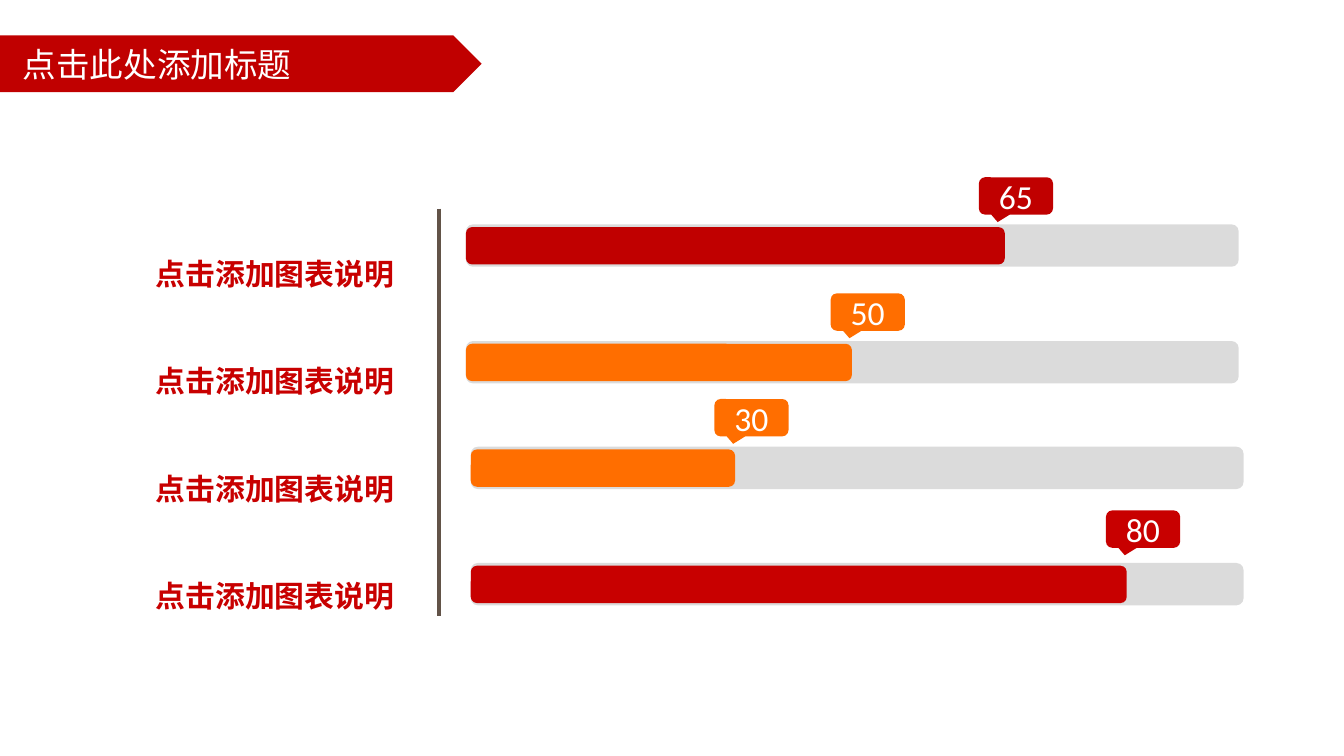
from lxml import etree
from pptx import Presentation
from pptx.enum import shapes, text
from pptx.dml.color import RGBColor
from pptx.oxml import ns
from pptx.util import Pt

COLORS = {
    "banner": "C00000",
    "red": "C80000",
    "orange": "FF6E00",
    "track": "000000",
    "axis": "625348",
    "white": "FFFFFF",
}
CHINESE = "Noto Sans CJK SC"
LATIN = "Calibri"


class SlideBuilder:
    def __init__(self, slide):
        self.slide = slide

    def color(self, name):
        return RGBColor.from_string(COLORS[name])

    def style(self, paragraph, size, font, color, align, bold=False):
        paragraph.alignment = align
        paragraph.font.size = Pt(size)
        paragraph.font.bold = bold
        paragraph.font.color.rgb = self.color(color)
        paragraph.font.name = font
        properties = paragraph._p.pPr.find(ns.qn("a:defRPr"))
        etree.SubElement(properties, ns.qn("a:ea"), typeface=font)

    def shape(self, kind, left, top, width, height, fill, opacity=None):
        shape = self.slide.shapes.add_shape(
            kind, Pt(left), Pt(top), Pt(width), Pt(height))
        shape.shadow.inherit = False
        shape.line.fill.background()
        shape.fill.solid()
        shape.fill.fore_color.rgb = self.color(fill)
        if opacity is not None:
            color = shape._element.spPr.find(".//" + ns.qn("a:srgbClr"))
            etree.SubElement(color, ns.qn("a:alpha"), val=str(opacity * 1000))
        return shape

    def title(self, words, left, top, width, height):
        title = self.slide.shapes.title
        title.left, title.top = Pt(left), Pt(top)
        title.width, title.height = Pt(width), Pt(height)
        # Keep the title in front of the banner
        self.slide.shapes._spTree.append(title._element)
        frame = title.text_frame
        frame.text = words
        frame.vertical_anchor = text.MSO_ANCHOR.MIDDLE
        self.style(frame.paragraphs[0], 18, CHINESE, "white", text.PP_ALIGN.LEFT)

    def bar(self, left, top, width, fill):
        rounded = shapes.MSO_SHAPE.FLOWCHART_ALTERNATE_PROCESS
        self.shape(rounded, left, top, 414, 22.7, "track", opacity=14)
        self.shape(rounded, left, top + 1.5, width, 20, fill)

    def callout(self, value, left, top, fill):
        shape = self.shape(shapes.MSO_SHAPE.ROUNDED_RECTANGULAR_CALLOUT,
                           left, top, 39.7, 20, fill)
        for index, adjustment in enumerate((-0.246, 0.7, 0.167)):
            shape.adjustments[index] = adjustment
        frame = shape.text_frame
        frame.margin_left = frame.margin_right = 0
        frame.margin_top = frame.margin_bottom = 0
        frame.vertical_anchor = text.MSO_ANCHOR.MIDDLE
        frame.text = str(value)
        self.style(frame.paragraphs[0], 18, LATIN, "white", text.PP_ALIGN.CENTER)

    def line(self, x, top, bottom):
        line = self.slide.shapes.add_connector(
            shapes.MSO_CONNECTOR.STRAIGHT, Pt(x), Pt(top), Pt(x), Pt(bottom))
        line.line.color.rgb = self.color("axis")
        line.line.width = Pt(2.25)
        etree.SubElement(line._element.spPr, ns.qn("a:effectLst"))

    def labels(self, lines, left, top, width, height):
        box = self.slide.shapes.add_textbox(
            Pt(left), Pt(top), Pt(width), Pt(height))
        frame = box.text_frame
        frame.word_wrap = True
        frame.text = "\n".join(lines)
        for paragraph in frame.paragraphs:
            paragraph.line_spacing = 3.0
            self.style(paragraph, 16, CHINESE, "red", text.PP_ALIGN.CENTER, True)


def main():
    presentation = Presentation()
    presentation.slide_width, presentation.slide_height = Pt(720), Pt(405)
    layout = presentation.slide_layouts.get_by_name("Title Only")
    builder = SlideBuilder(presentation.slides.add_slide(layout))

    # Title banner
    builder.shape(shapes.MSO_SHAPE.PENTAGON, 0, 19, 258, 30.4, "banner")
    builder.title("点击此处添加标题", 5, 18, 648, 33)

    # Bars: value, left, top, filled width, callout left, callout top, colour
    bars = [
        (65, 249.6, 120.2, 288.7, 524.4, 95, "banner"),
        (50, 249.6, 182.7, 206.8, 445, 157.2, "orange"),
        (30, 252.2, 239.3, 141.6, 382.7, 213.8, "orange"),
        (80, 252.2, 301.6, 351.4, 592.5, 273.5, "red"),
    ]
    for _, left, top, width, _, _, fill in bars:
        builder.bar(left, top, width, fill)
    for value, _, _, _, left, top, fill in bars:
        builder.callout(value, left, top, fill)

    # Axis and row labels
    builder.line(235.2, 111.8, 330.2)
    builder.labels(["点击添加图表说明"] * len(bars), 59.5, 95, 175.7, 240)

    presentation.save("out.pptx")


if __name__ == "__main__":
    main()
